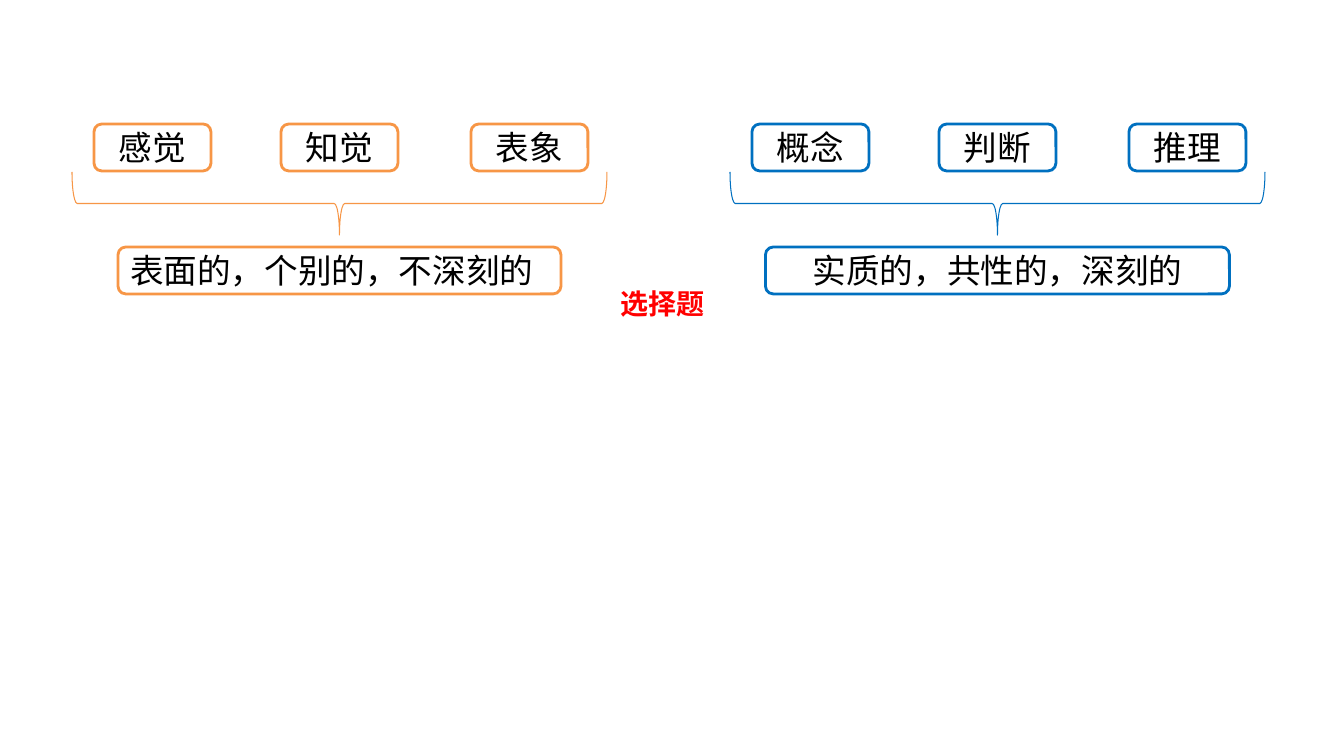
from lxml import etree
from pptx import Presentation
from pptx.dml.color import RGBColor
from pptx.enum.shapes import MSO_SHAPE
from pptx.enum.text import MSO_ANCHOR, PP_ALIGN
from pptx.oxml.ns import qn
from pptx.util import Pt

ROUND_RECT, LEFT_BRACE = MSO_SHAPE.ROUNDED_RECTANGLE, MSO_SHAPE.LEFT_BRACE
LEFT, CENTER, MIDDLE = PP_ALIGN.LEFT, PP_ALIGN.CENTER, MSO_ANCHOR.MIDDLE
FONT = "Noto Sans CJK SC"

# Left edge, colour, forms of cognition, then the summary: text, width, alignment
GROUPS = [
    (72, "F79646", ["感觉", "知觉", "表象"], ("表面的，个别的，不深刻的", 443, LEFT)),
    (730, "0070C0", ["概念", "判断", "推理"], ("实质的，共性的，深刻的", 464, CENTER)),
]
NOTE = "选择题"

FORM_OFFSETS = [22, 209, 399]
FORM_TOP, FORM_WIDTH, BOX_HEIGHT = 124, 117, 47
BRACE_TOP, BRACE_SPAN, BRACE_DEPTH = 172, 535, 63
SUMMARY_TOP = 247


def px(n):
    return round(n * 914400 / 100.8)


def rgb(value):
    return RGBColor.from_string(value)


def write(tf, text, size, color, align, bold=False):
    p = tf.paragraphs[0]
    p.text = text
    p.alignment = align
    font = p.font
    font.name, font.size, font.bold = FONT, Pt(size), bold
    font.color.rgb = rgb(color)
    latin = p._p.pPr.find(qn("a:defRPr")).find(qn("a:latin"))
    east_asian = etree.Element(qn("a:ea"), typeface=FONT)
    latin.addnext(east_asian)


def add_outline(kind, x, y, w, h, color, line_width):
    s = slide.shapes.add_shape(kind, px(x), px(y), px(w), px(h))
    s.shadow.inherit = False
    s.line.color.rgb = rgb(color)
    s.line.width = Pt(line_width)
    return s


def add_box(text, x, y, w, color, align):
    s = add_outline(ROUND_RECT, x, y, w, BOX_HEIGHT, color, 2)
    s.fill.solid()
    s.fill.fore_color.rgb = rgb("FFFFFF")
    s.text_frame.vertical_anchor = MIDDLE
    write(s.text_frame, text, 24, "000000", align)


def add_brace(x, color):
    """Turn an upright brace so that it opens upwards and spans the group."""
    shift = (BRACE_SPAN - BRACE_DEPTH) / 2
    s = add_outline(LEFT_BRACE, x + shift, BRACE_TOP - shift,
                    BRACE_DEPTH, BRACE_SPAN, color, 0.75)
    s.rotation = 270
    s.fill.background()


prs = Presentation()
prs.slide_width, prs.slide_height = px(1344), px(756)
slide = prs.slides.add_slide(prs.slide_layouts[6])

for left, color, forms, (summary, width, align) in GROUPS:
    add_brace(left, color)
    for form, offset in zip(forms, FORM_OFFSETS):
        add_box(form, left + offset, FORM_TOP, FORM_WIDTH, color, CENTER)
    add_box(summary, left + (BRACE_SPAN - width) / 2, SUMMARY_TOP, width, color, align)

note = slide.shapes.add_textbox(px(611), px(282), px(119), px(44))
note.text_frame.word_wrap = True
write(note.text_frame, NOTE, 20, "FF0000", LEFT, bold=True)

prs.save("out.pptx")
